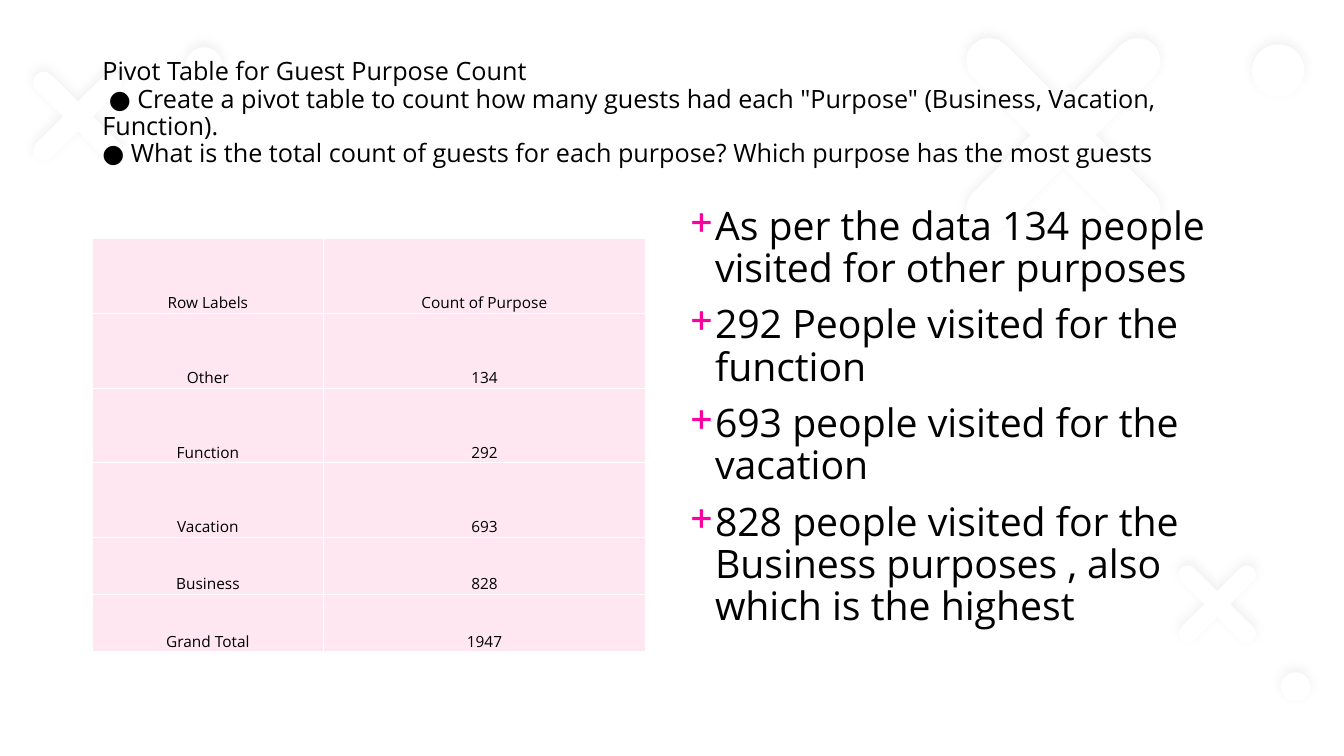
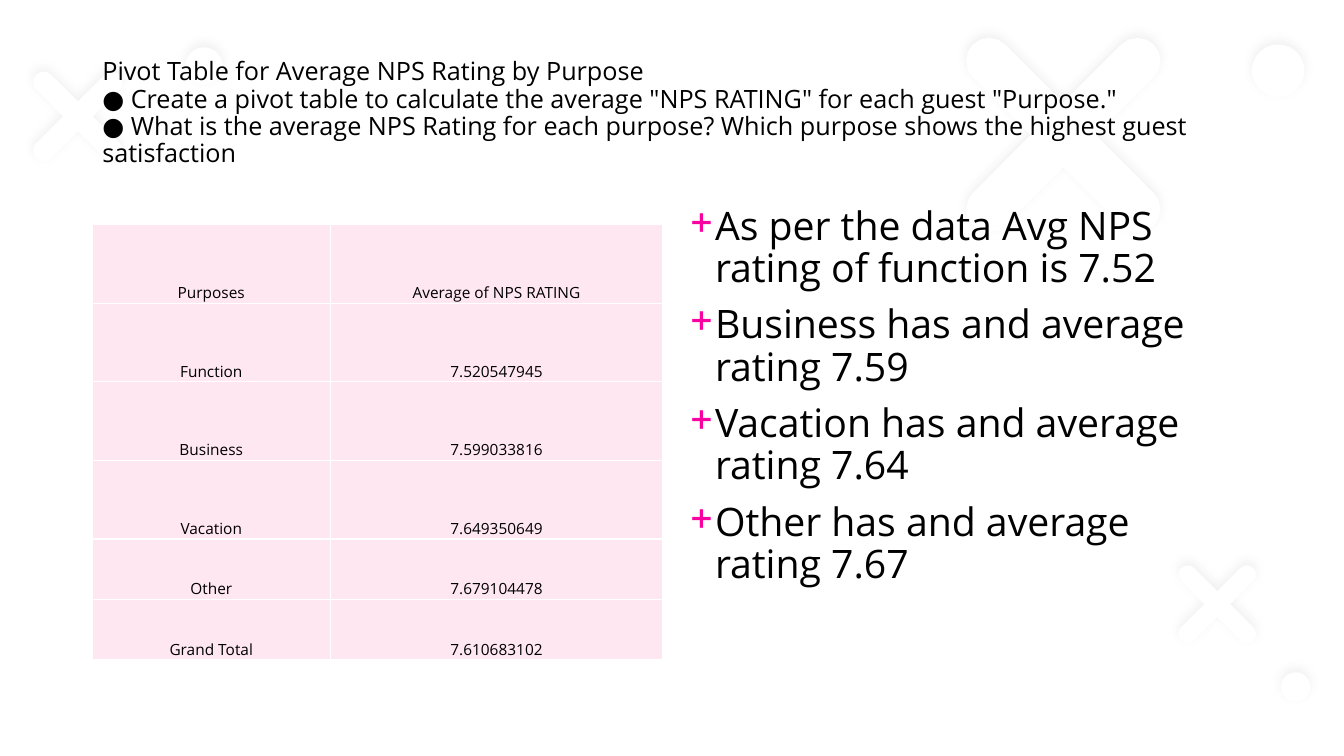
from math import cos, pi, sin

from pptx import Presentation
from pptx import util as u
from pptx.dml.color import RGBColor
from pptx.enum import shapes, text
from pptx.oxml import parse_xml
from pptx.oxml.ns import nsdecls

COLORS = {"ink": "000000", "accent": "F900A0", "cell": "FEE7F0", "relief": "FFFFFF"}
FONT = "Open Sans"
LEFT = 2.33
# Left, top and size of each relief ornament
CROSSES = [(0.48, 1.45, 2.97), (23.57, 0.18, 6.45), (29.39, 13.94, 2.57)]
DOTS = [(32.28, 16.94, 0.74), (31.55, 1.12, 1.32), (4.67, 1.19, 0.94)]

PAGES = [
    {
        "title": "Pivot Table for Guest Purpose Count\v"
                 " ● Create a pivot table to count how many guests had each \"Purpose\" "
                 "(Business, Vacation, Function).\v"
                 "● What is the total count of guests for each purpose? "
                 "Which purpose has the most guests",
        "pivot": [("Row Labels", "Count of Purpose"), ("Other", "134"),
                  ("Function", "292"), ("Vacation", "693"),
                  ("Business", "828"), ("Grand Total", "1947")],
        "top": 6.02, "columns": [5.82, 8.12], "tall": 1.88, "short": 1.44,
        "findings": ["As per the data 134 people visited for other purposes",
                     "292 People visited for the function",
                     "693 people visited for the vacation",
                     "828 people visited for the Business purposes , "
                     "also which is the highest"],
    },
    {
        "title": "Pivot Table for Average NPS Rating by Purpose\v"
                 "● Create a pivot table to calculate the average \"NPS RATING\" "
                 "for each guest \"Purpose.\"\v"
                 "● What is the average NPS Rating for each purpose? "
                 "Which purpose shows the highest guest satisfaction",
        "pivot": [("Purposes", "Average of NPS RATING"), ("Function", "7.520547945"),
                  ("Business", "7.599033816"), ("Vacation", "7.649350649"),
                  ("Other", "7.679104478"), ("Grand Total", "7.610683102")],
        "top": 5.66, "columns": [5.99, 8.39], "tall": 1.98, "short": 1.52,
        "findings": ["As per the data Avg NPS rating of function is 7.52",
                     "Business has and average rating 7.59",
                     "Vacation has and average rating 7.64",
                     "Other has and average rating 7.67"],
    },
]


def write(paragraph, words, size, align=None, spacing=None, before=None, bullet=None):
    """Fill a paragraph; a bullet character also gives it a hanging indent."""
    paragraph.text = words
    paragraph.font.size = u.Pt(size)
    paragraph.font.name = FONT
    paragraph.font.color.rgb = RGBColor.from_string(COLORS["ink"])
    paragraph.alignment = align
    paragraph.line_spacing = spacing
    if before is not None:
        paragraph.space_before = u.Pt(before)
    if bullet:
        props = paragraph._p.get_or_add_pPr()
        hang = u.Cm(0.63)
        props.set("marL", str(hang))
        props.set("indent", str(-hang))
        marks = (f'<a:buClr {nsdecls("a")}><a:srgbClr val="{COLORS["accent"]}"/></a:buClr>',
                 f'<a:buChar {nsdecls("a")} char="{bullet}"/>')
        for mark in marks:
            props.insert_element_before(parse_xml(mark), "a:tabLst", "a:defRPr", "a:extLst")


def cross_outline(left, top, size, steps=8):
    """Points of a plus sign whose four arms end in half circles."""
    half, arm = size / 2, size * 0.09
    points = []
    for quarter in range(4):
        turn = quarter * pi / 2
        arc = [(half - arm + arm * cos(a), arm * sin(a))
               for a in (-pi / 2 + pi * step / steps for step in range(steps + 1))]
        for x, y in arc + [(arm, arm)]:
            points.append((u.Cm(left + half + x * cos(turn) - y * sin(turn)),
                           u.Cm(top + half + x * sin(turn) + y * cos(turn))))
    return points


class Deck:
    def __init__(self):
        self.prs = Presentation()
        self.prs.slide_width, self.prs.slide_height = u.Cm(33.87), u.Cm(19.05)
        self.slide = None

    def new_slide(self):
        self.slide = self.prs.slides.add_slide(self.prs.slide_layouts[6])
        for place in CROSSES:
            self.cross(*place)
        for place in DOTS:
            self.dot(*place)

    def relief(self, ornament, rotation):
        """Paint an ornament in the background colour with a faint soft shadow."""
        ornament.rotation = rotation
        ornament.fill.solid()
        ornament.fill.fore_color.rgb = RGBColor.from_string(COLORS["relief"])
        ornament.line.fill.background()
        ornament.shadow.inherit = False
        effects = ornament._element.spPr.find(
            "{http://schemas.openxmlformats.org/drawingml/2006/main}effectLst")
        effects.append(parse_xml(
            f'<a:outerShdw {nsdecls("a")} blurRad="{u.Pt(8)}" dist="{u.Pt(3)}" '
            f'dir="16200000" rotWithShape="0"><a:srgbClr val="{COLORS["ink"]}">'
            '<a:alpha val="5000"/></a:srgbClr></a:outerShdw>'))

    def cross(self, left, top, size):
        start, *others = cross_outline(left, top, size)
        builder = self.slide.shapes.build_freeform(*start)
        builder.add_line_segments(others)
        self.relief(builder.convert_to_shape(), 45)

    def dot(self, left, top, size):
        self.relief(self.slide.shapes.add_shape(
            shapes.MSO_SHAPE.OVAL, u.Cm(left), u.Cm(top), u.Cm(size), u.Cm(size)), 180)

    def frame(self, left, top, width, height, anchor):
        box = self.slide.shapes.add_textbox(u.Cm(left), u.Cm(top), u.Cm(width), u.Cm(height))
        box.text_frame.word_wrap = True
        box.text_frame.vertical_anchor = anchor
        return box.text_frame

    def title(self, words):
        heading = self.frame(LEFT, 1.02, 29.21, 3.68, text.MSO_ANCHOR.MIDDLE)
        write(heading.paragraphs[0], words, 18, spacing=0.9)

    def findings(self, lines):
        body = self.frame(17.14, 5.07, 14.4, 12.09, text.MSO_ANCHOR.TOP)
        for index, line in enumerate(lines):
            paragraph = body.add_paragraph() if index else body.paragraphs[0]
            write(paragraph, line, 28, spacing=0.9, before=10, bullet="+")

    def pivot(self, rows, top, columns, tall, short):
        """Draw the table; its last two rows are the short ones."""
        heights = [tall] * (len(rows) - 2) + [short] * 2
        grid = self.slide.shapes.add_table(
            len(rows), len(columns), u.Cm(LEFT), u.Cm(top),
            u.Cm(sum(columns)), u.Cm(sum(heights))).table
        grid.first_row = grid.horz_banding = False
        for column, width in zip(grid.columns, columns):
            column.width = u.Cm(width)
        for row, height, values in zip(grid.rows, heights, rows):
            row.height = u.Cm(height)
            for cell, value in zip(row.cells, values):
                cell.fill.solid()
                cell.fill.fore_color.rgb = RGBColor.from_string(COLORS["cell"])
                cell.vertical_anchor = text.MSO_ANCHOR.BOTTOM
                cell.margin_left = cell.margin_right = cell.margin_top = u.Cm(0.02)
                cell.margin_bottom = 0
                write(cell.text_frame.paragraphs[0], value, 11, align=text.PP_ALIGN.CENTER)


def main():
    deck = Deck()
    for page in PAGES:
        deck.new_slide()
        deck.title(page["title"])
        deck.pivot(page["pivot"], page["top"], page["columns"], page["tall"], page["short"])
        deck.findings(page["findings"])
    deck.prs.save("out.pptx")


if __name__ == "__main__":
    main()
